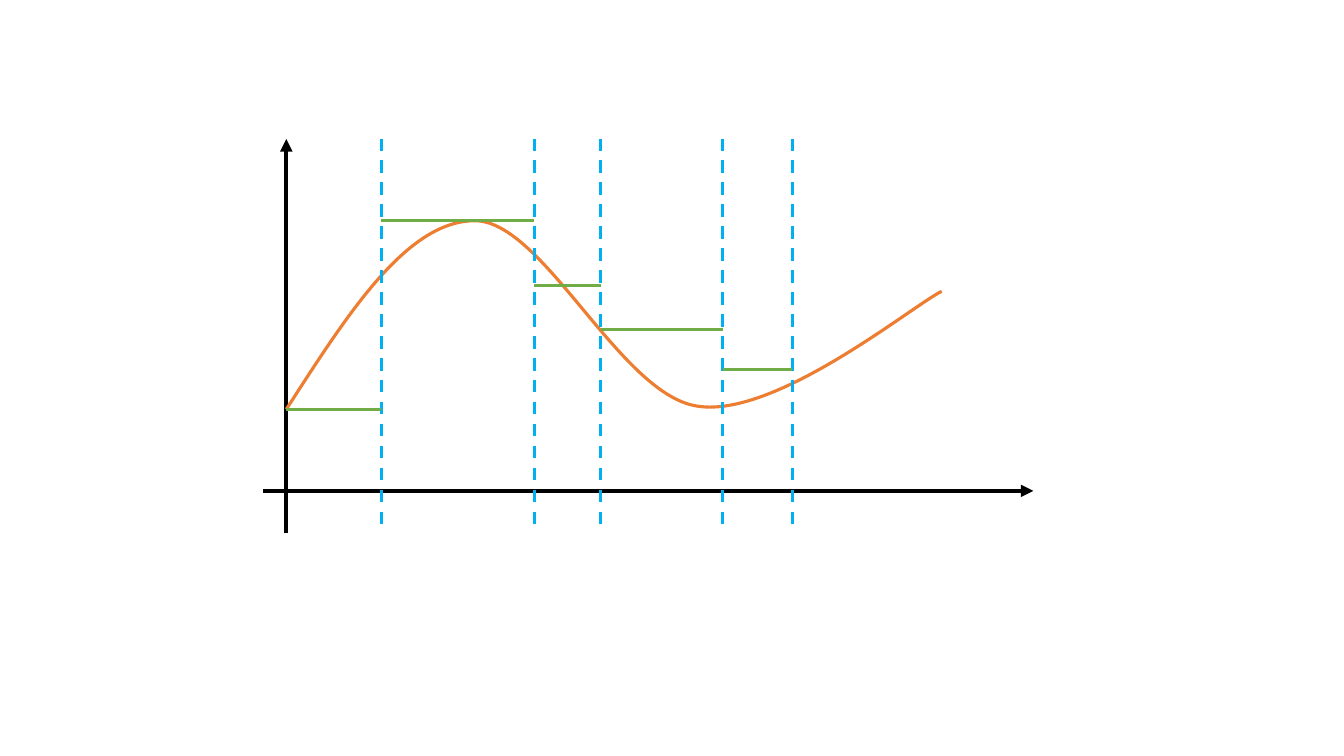
from lxml.etree import SubElement
from pptx import Presentation
from pptx.dml.color import RGBColor
from pptx.enum.dml import MSO_LINE
from pptx.enum.shapes import MSO_CONNECTOR
from pptx.oxml.ns import qn
from pptx.util import Pt

PX = 9144
SLIDE_SIZE = (1333, 750)
COLORS = {"axis": "000000", "curve": "ED7D31", "divider": "00B0F0", "step": "70AD47"}
FORMATS = {
    "axis": {"width": Pt(3)},
    "curve": {"width": Pt(2.25)},
    "divider": {"width": Pt(2.25), "dash_style": MSO_LINE.DASH},
    "step": {"width": Pt(2.25)},
}

AXES = [((284, 529), (284, 138)), ((261, 487), (1025, 487))]
CURVE_START = (284, 406)
CURVE_SEGMENTS = [
    ((344, 313), (403, 219), (471, 219)),
    ((539, 219), (615, 392), (692, 403)),
    ((769, 415), (904, 304), (934, 289)),
]
DIVIDER_TOP, DIVIDER_BOTTOM = 138, 520
INTERVALS = [
    (284, 378, 406),
    (378, 530, 219),
    (530, 596, 283),
    (596, 717, 327),
    (717, 786, 367),
]


def style_line(line, part):
    line.color.rgb = RGBColor.from_string(COLORS[part])
    for attribute, value in FORMATS[part].items():
        setattr(line, attribute, value)


def draw_line(shapes, start, end, part):
    ends = [value * PX for value in (*start, *end)]
    connector = shapes.add_connector(MSO_CONNECTOR.STRAIGHT, *ends)
    style_line(connector.line, part)
    if part == "axis":
        SubElement(connector.line._ln, qn("a:tailEnd"), type="triangle")
    SubElement(connector._element.spPr, qn("a:effectLst"))


def draw_curve(shapes):
    anchors = [segment[-1] for segment in CURVE_SEGMENTS]
    builder = shapes.build_freeform(*CURVE_START, scale=PX)
    builder.add_line_segments(anchors, close=False)
    curve = builder.convert_to_shape()
    curve.shadow.inherit = False
    curve.fill.background()
    style_line(curve.line, "curve")

    left = min(x for x, y in [CURVE_START, *anchors])
    top = min(y for x, y in [CURVE_START, *anchors])
    outline = curve._element.spPr.find(".//" + qn("a:path"))
    for straight, segment in zip(outline.findall(qn("a:lnTo")), CURVE_SEGMENTS):
        outline.remove(straight)
        bend = SubElement(outline, qn("a:cubicBezTo"))
        for x, y in segment:
            SubElement(bend, qn("a:pt"), x=str(x - left), y=str(y - top))


def main():
    presentation = Presentation()
    presentation.slide_width, presentation.slide_height = (side * PX for side in SLIDE_SIZE)
    shapes = presentation.slides.add_slide(presentation.slide_layouts[6]).shapes

    for start, end in AXES:
        draw_line(shapes, start, end, "axis")
    draw_curve(shapes)
    for left, right, level in INTERVALS:
        draw_line(shapes, (right, DIVIDER_BOTTOM), (right, DIVIDER_TOP), "divider")
        draw_line(shapes, (left, level), (right, level), "step")

    presentation.save("out.pptx")


if __name__ == "__main__":
    main()
